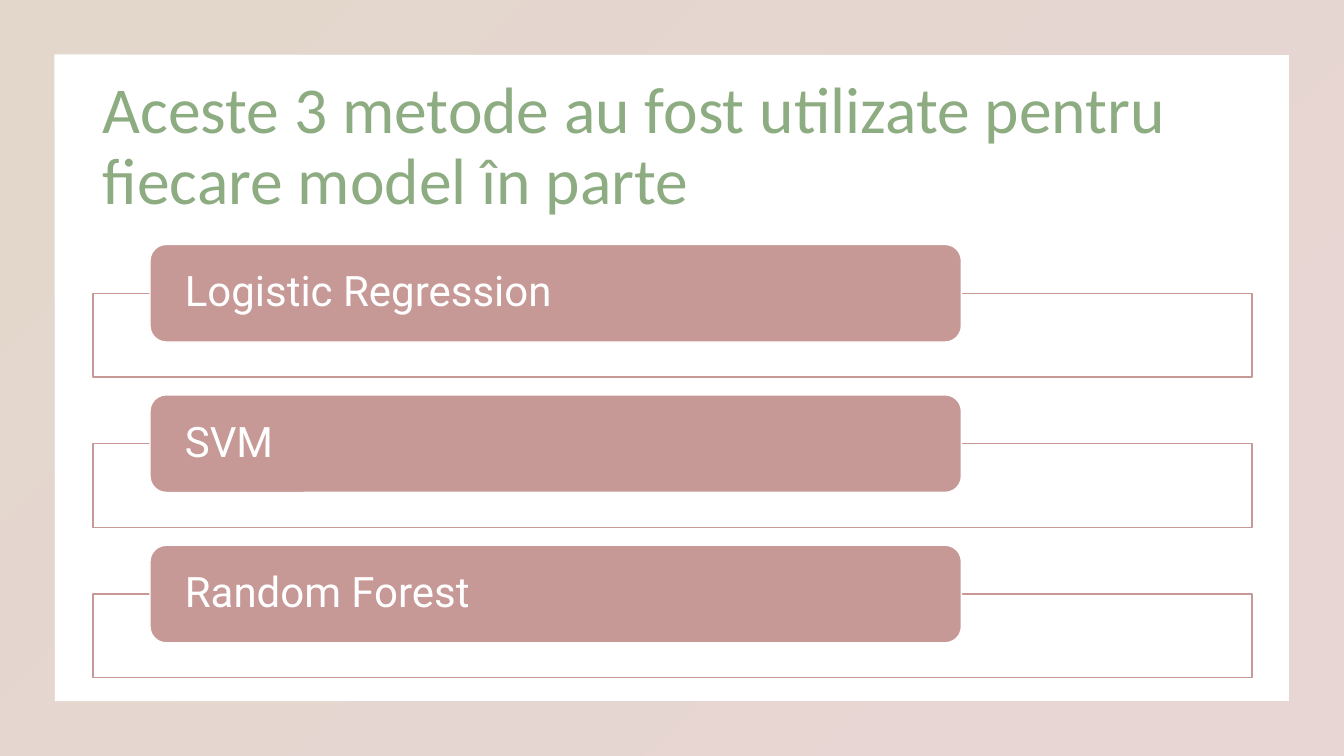
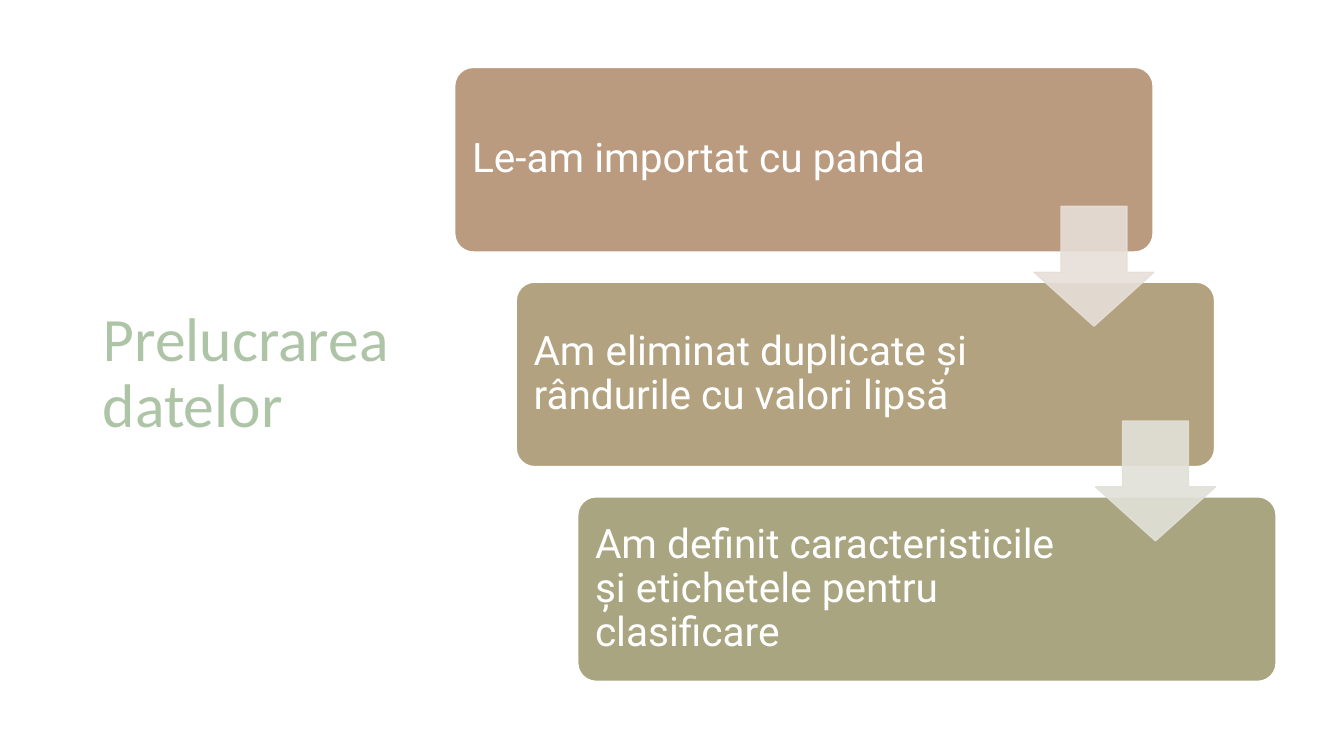
from lxml import etree
from pptx import Presentation
from pptx.dml.color import RGBColor
from pptx.enum import shapes, text
from pptx.oxml.ns import qn
from pptx.util import Cm, Pt

COLORS = {
    "white": "FFFFFF",
    "green": "8DAC82",
    "rose": "C69996",
    "tan": "BA9B7F",
    "sand": "B2A27F",
    "olive": "A9A580",
    "pale_tan": "E7DED8",
    "pale_olive": "E2E1D8",
}
TITLE_FONT = "Calibri"
BODY_FONT = "Roboto"
SLIDE_WIDTH, SLIDE_HEIGHT = 33.87, 19.05
MARGIN = 2.34

METHODS = ["Logistic Regression", "SVM", "Random Forest"]
STEPS = [
    ("Le-am importat cu panda", "tan"),
    ("Am eliminat duplicate și rândurile cu valori lipsă", "sand"),
    ("Am definit caracteristicile și etichetele pentru clasificare", "olive"),
]
ARROW_COLORS = ["pale_tan", "pale_olive"]


def rgb(name):
    return RGBColor.from_string(COLORS[name])


def set_opacity(element, percent):
    """Apply one opacity to every colour inside an XML element."""
    for color in element.iter(qn("a:srgbClr")):
        etree.SubElement(color, qn("a:alpha")).set("val", str(percent * 1000))


def add_shape(slide, kind, box, fill, line):
    shape = slide.shapes.add_shape(kind, *map(Cm, box))
    shape.shadow.inherit = False
    shape.fill.solid()
    shape.fill.fore_color.rgb = rgb(fill)
    shape.line.color.rgb = rgb(line)
    shape.line.width = Pt(1)
    return shape


def write_text(shape, content, font, size, color):
    """Write one left-aligned, vertically centred paragraph; return its run."""
    frame = shape.text_frame
    frame.word_wrap = True
    frame.vertical_anchor = text.MSO_ANCHOR.MIDDLE
    frame.text = content
    paragraph = frame.paragraphs[0]
    paragraph.alignment = text.PP_ALIGN.LEFT
    paragraph.line_spacing = 0.9
    run = paragraph.runs[0]
    run.font.name = font
    run.font.size = Pt(size)
    run.font.color.rgb = rgb(color)
    return run


def add_title(slide, content, box, size, opacity=100):
    title = slide.shapes.add_textbox(*map(Cm, box))
    run = write_text(title, content, TITLE_FONT, size, "green")
    if opacity < 100:
        set_opacity(run.font._element, opacity)


def add_card(slide, content, box, fill, size, insets):
    """Add a rounded box with text; insets are left, top, right, bottom."""
    card = add_shape(slide, shapes.MSO_SHAPE.ROUNDED_RECTANGLE, box, fill, "white")
    write_text(card, content, BODY_FONT, size, "white")
    frame = card.text_frame
    (frame.margin_left, frame.margin_top,
     frame.margin_right, frame.margin_bottom) = map(Cm, insets)
    return card


def add_border(slide):
    border = slide.shapes.add_shape(
        shapes.MSO_SHAPE.FRAME, 0, 0, Cm(SLIDE_WIDTH), Cm(SLIDE_HEIGHT))
    border.shadow.inherit = False
    border.adjustments[0] = 0.072
    border.line.fill.background()
    border.fill.gradient()
    border.fill.gradient_angle = 315
    for stop, name in zip(border.fill.gradient_stops, ("tan", "rose")):
        stop.color.rgb = rgb(name)
    set_opacity(border._element.spPr, 40)


def add_arrow(slide, left, top, color):
    arrow = add_shape(slide, shapes.MSO_SHAPE.DOWN_ARROW,
                      (left, top, 3.02, 3.02), color, color)
    arrow.adjustments[0] = 0.55
    arrow.adjustments[1] = 0.45
    set_opacity(arrow._element.spPr, 90)


def build_methods(slide):
    add_border(slide)
    add_title(slide, "Aceste 3 metode au fost utilizate pentru fiecare model în parte",
              (MARGIN, 1.88, 29.21, 3.68), 46.8)
    for index, method in enumerate(METHODS):
        top = 6.16 + index * 3.79
        add_shape(slide, shapes.MSO_SHAPE.RECTANGLE,
                  (MARGIN, top + 1.23, 29.21, 2.11), "white", "rose")
        add_card(slide, method, (3.78, top, 20.45, 2.46), "rose", 30,
                 (0.76, 0, 0.76, 0))


def build_steps(slide):
    add_title(slide, "Prelucrarea datelor", (MARGIN, 1.7, 8.2, 15.47), 44, opacity=70)
    corners = [(11.46 + index * 1.55, 1.7 + index * 5.41) for index in range(len(STEPS))]
    for (content, color), (left, top) in zip(STEPS, corners):
        card = add_card(slide, content, (left, top, 17.6, 4.65), color, 29,
                        (0.3, 0.3, 4.88, 0.3))
        card.adjustments[0] = 0.1
    for color, (left, top) in zip(ARROW_COLORS, corners):
        add_arrow(slide, left + 14.6, top + 3.5, color)


def main():
    presentation = Presentation()
    presentation.slide_width = Cm(SLIDE_WIDTH)
    presentation.slide_height = Cm(SLIDE_HEIGHT)
    blank = presentation.slide_layouts[6]
    for build in (build_methods, build_steps):
        build(presentation.slides.add_slide(blank))
    presentation.save("out.pptx")


if __name__ == "__main__":
    main()
